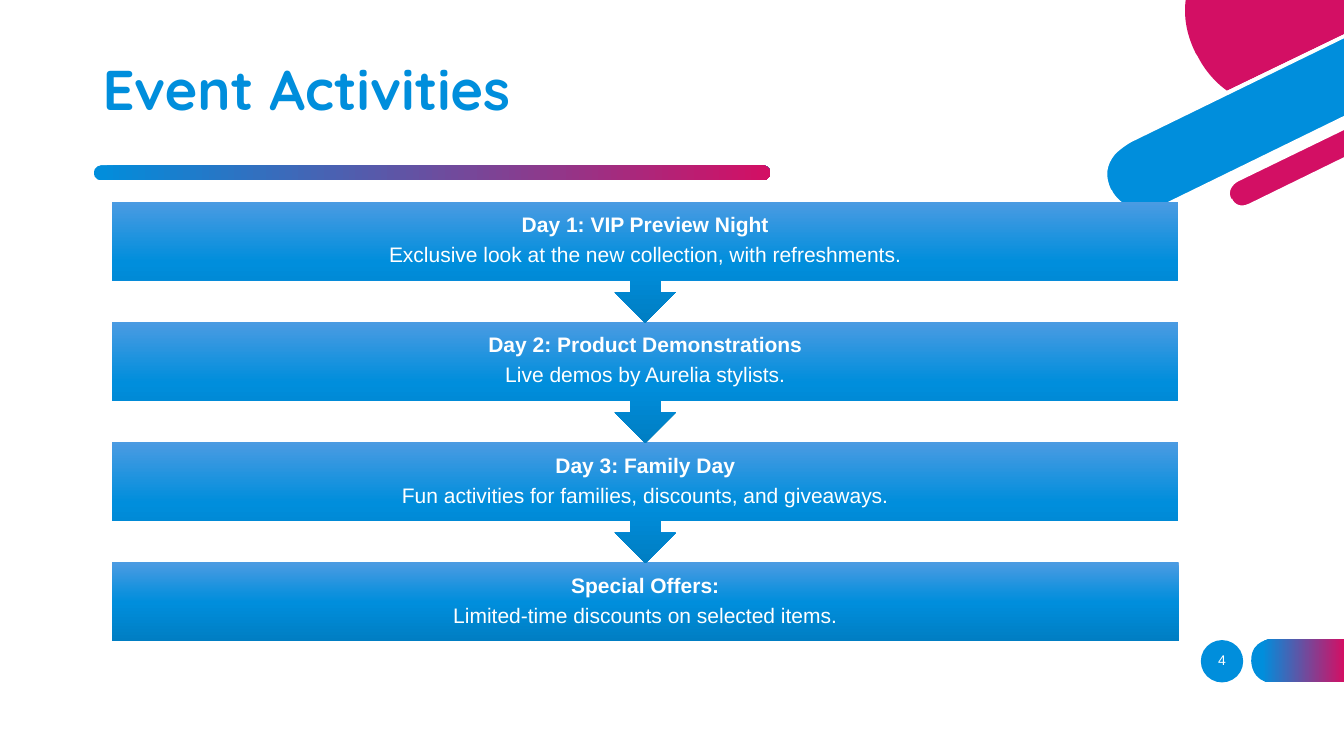
from lxml import etree
from pptx import Presentation
from pptx.dml.color import RGBColor
from pptx.enum.shapes import MSO_SHAPE
from pptx.enum.text import MSO_ANCHOR, PP_ALIGN
from pptx.oxml.ns import qn
from pptx.util import Inches, Pt

RECTANGLE = MSO_SHAPE.RECTANGLE
ROUNDED = MSO_SHAPE.ROUNDED_RECTANGLE
ELLIPSE = MSO_SHAPE.OVAL
ARROW_BOX = MSO_SHAPE.DOWN_ARROW_CALLOUT
CENTER = PP_ALIGN.CENTER
MIDDLE = MSO_ANCHOR.MIDDLE

WIDTH, HEIGHT = 13.33, 7.5
COLORS = {"blue": "008EDC", "pink": "D30F64", "white": "FFFFFF",
          "light": "4B9BE2", "deep": "007EC3"}
BRAND_STOPS = [(0, "blue"), (100, "pink")]
TAB_STOPS = [(12, "blue"), (100, "pink")]
BOX_STOPS = [(0, "light"), (50, "blue"), (100, "deep")]
RIGHTWARD, DOWNWARD = 0, 270

BOX_LEFT, BOX_WIDTH = 1.11, 10.58
BOX_TOP, LAST_BOX_TOP = 2, 5.58
BOX_HEIGHT, ARROW_BOX_HEIGHT = 0.78, 1.2

ACTIVITIES = [
    ("Day 1: VIP Preview Night",
     "Exclusive look at the new collection, with refreshments."),
    ("Day 2: Product Demonstrations", "Live demos by Aurelia stylists."),
    ("Day 3: Family Day",
     "Fun activities for families, discounts, and giveaways."),
    ("Special Offers:", "Limited-time discounts on selected items."),
]

# Outlines in inches: two numbers make a line, six make a Bézier curve.
NUMBER_TAB = [(12.62, 6.77), (WIDTH, 6.77), (WIDTH, 6.34), (12.62, 6.34),
              (12.62, 6.34, 12.41, 6.34, 12.41, 6.55), (12.41, 6.56),
              (12.41, 6.56, 12.41, 6.77, 12.62, 6.77)]
DISC_RIM = [(WIDTH, 0.81), (13.06, 0.94),
            (12.74, 1.1, 12.44, 1.08, 12.19, 0.89),
            (11.99, 0.74, 11.89, 0.55, 11.89, 0.55), (11.88, 0.52),
            (11.79, 0.34, 11.75, 0.16, 11.78, 0), (11.74, 0),
            (11.71, 0.17, 11.75, 0.35, 11.84, 0.54), (11.86, 0.57),
            (11.86, 0.58, 11.96, 0.77, 12.16, 0.92),
            (12.28, 1.01, 12.44, 1.09, 12.65, 1.09),
            (12.77, 1.09, 12.91, 1.06, 13.08, 0.98), (WIDTH, 0.86)]
BLUE_BAND = [(11.21, 1.39), (11.21, 1.39, 10.85, 1.57, 11.01, 1.89),
             (11.01, 1.9), (11.01, 1.9, 11.17, 2.22, 11.54, 2.04),
             (WIDTH, 1.17), (WIDTH, 0.36)]
PINK_DISC = [(11.88, 0.56), (11.88, 0.56, 11.97, 0.76, 12.17, 0.9),
             (WIDTH, 0.34), (WIDTH, 0), (11.76, 0),
             (11.74, 0.15, 11.76, 0.33, 11.86, 0.53)]
PINK_BAND = [(WIDTH, 1.26), (12.27, 1.78),
             (12.27, 1.78, 12.13, 1.85, 12.2, 1.97), (12.2, 1.98),
             (12.2, 1.98, 12.26, 2.11, 12.4, 2.04), (WIDTH, 1.58)]
PINK_RIM = [(12.39, 2.02), (12.27, 2.08, 12.22, 1.98, 12.22, 1.97),
            (12.21, 1.97), (12.16, 1.86, 12.28, 1.8, 12.28, 1.8),
            (WIDTH, 1.29), (WIDTH, 1.24), (12.26, 1.76),
            (12.26, 1.76, 12.19, 1.8, 12.17, 1.87),
            (12.15, 1.91, 12.16, 1.95, 12.18, 1.99),
            (12.2, 2.03, 12.25, 2.08, 12.32, 2.08),
            (12.35, 2.08, 12.38, 2.08, 12.41, 2.06),
            (WIDTH, 1.61), (WIDTH, 1.56)]
BLUE_RIM = [(11.53, 2.03), (11.19, 2.19, 11.03, 1.9, 11.03, 1.89),
            (11.02, 1.88), (10.96, 1.75, 10.97, 1.64, 11.06, 1.53),
            (11.13, 1.46, 11.22, 1.41, 11.22, 1.41), (WIDTH, 0.38),
            (WIDTH, 0.34), (11.2, 1.37),
            (11.19, 1.38, 11.02, 1.46, 10.96, 1.63),
            (10.93, 1.71, 10.94, 1.8, 10.99, 1.9), (10.99, 1.91),
            (10.99, 1.91, 11.1, 2.12, 11.33, 2.12),
            (11.39, 2.12, 11.46, 2.1, 11.54, 2.06),
            (WIDTH, 1.19), (WIDTH, 1.15)]
CORNER = [(DISC_RIM, "white"), (BLUE_BAND, "blue"), (PINK_DISC, "pink"),
          (PINK_BAND, "pink"), (PINK_RIM, "white"), (BLUE_RIM, "white")]


def color(name):
    return RGBColor.from_string(COLORS[name])


def paint(shape, fill, angle=RIGHTWARD):
    """Fill with a colour name or a list of gradient stops, without line or shadow."""
    shape.shadow.inherit = False
    shape.line.fill.background()
    if isinstance(fill, str):
        shape.fill.solid()
        shape.fill.fore_color.rgb = color(fill)
        return
    shape.fill.gradient()
    shape.fill.gradient_angle = angle
    stops = shape._element.spPr.find(".//" + qn("a:gsLst"))
    for stop in list(stops):
        stops.remove(stop)
    for percent, name in fill:
        stop = etree.SubElement(stops, qn("a:gs"), pos=str(percent * 1000))
        etree.SubElement(stop, qn("a:srgbClr"), val=COLORS[name])


def add_preset(slide, preset, left, top, width, height, fill, angle=RIGHTWARD):
    shape = slide.shapes.add_shape(preset, Inches(left), Inches(top),
                                   Inches(width), Inches(height))
    paint(shape, fill, angle)
    return shape


def bend(shape, outline):
    """Join the three lines that stand for each six-number segment into one curve."""
    lines = iter(shape._element.spPr.findall(".//" + qn("a:lnTo")))
    for segment in outline[1:]:
        line = next(lines)
        if len(segment) == 6:
            line.tag = qn("a:cubicBezTo")
            for extra in (next(lines), next(lines)):
                line.append(extra[0])
                extra.getparent().remove(extra)


def add_outline(slide, outline, fill):
    corners = [(Inches(segment[index]), Inches(segment[index + 1]))
               for segment in outline for index in range(0, len(segment), 2)]
    builder = slide.shapes.build_freeform(*corners[0])
    builder.add_line_segments(corners[1:], close=True)
    shape = builder.convert_to_shape()
    bend(shape, outline)
    paint(shape, fill)


def write(shape, lines, size, font="Arial", color_name="white", align=CENTER, inset=0.1):
    """Write (text, bold) lines, one paragraph each, centred vertically."""
    frame = shape.text_frame
    frame.word_wrap = True
    frame.vertical_anchor = MIDDLE
    frame.margin_left = frame.margin_right = Inches(inset)
    frame.margin_top = frame.margin_bottom = Inches(inset)
    frame.text = "\n".join(text for text, bold in lines)
    for paragraph, (text, bold) in zip(frame.paragraphs, lines):
        paragraph.alignment = align
        paragraph.line_spacing = 0.9
        for run in paragraph.runs:
            run.font.name = font
            run.font.size = Pt(size)
            run.font.bold = bold
            run.font.color.rgb = color(color_name)
    for paragraph in frame.paragraphs[:-1]:
        paragraph.space_after = Pt(5.25)


def add_title(slide, text):
    box = slide.shapes.add_textbox(Inches(0.92), Inches(0.4), Inches(9.9), Inches(1.03))
    write(box, [(text, True)], 40, "Quicksand", "blue", PP_ALIGN.LEFT)
    bar = add_preset(slide, ROUNDED, 0.93, 1.64, 6.71, 0.15, BRAND_STOPS)
    bar.adjustments[0] = 0.5


def add_page_number(slide, number):
    disc = add_preset(slide, ELLIPSE, 11.91, 6.35, 0.42, 0.42, "blue")
    write(disc, [(number, False)], 10, inset=0)
    add_outline(slide, NUMBER_TAB, TAB_STOPS)


def add_activities(slide):
    last = len(ACTIVITIES) - 1
    pitch = (LAST_BOX_TOP - BOX_TOP) / last
    for row, (heading, detail) in reversed(list(enumerate(ACTIVITIES))):
        preset, height = (RECTANGLE, BOX_HEIGHT) if row == last else (ARROW_BOX, ARROW_BOX_HEIGHT)
        box = add_preset(slide, preset, BOX_LEFT, BOX_TOP + row * pitch,
                         BOX_WIDTH, height, BOX_STOPS, DOWNWARD)
        write(box, [(heading, True), (detail, False)], 15, inset=0.12)


def main():
    presentation = Presentation()
    presentation.slide_width = Inches(WIDTH)
    presentation.slide_height = Inches(HEIGHT)
    slide = presentation.slides.add_slide(presentation.slide_layouts[6])
    add_page_number(slide, "4")
    for outline, fill in CORNER:
        add_outline(slide, outline, fill)
    add_title(slide, "Event Activities")
    add_activities(slide)
    presentation.save("out.pptx")


if __name__ == "__main__":
    main()
